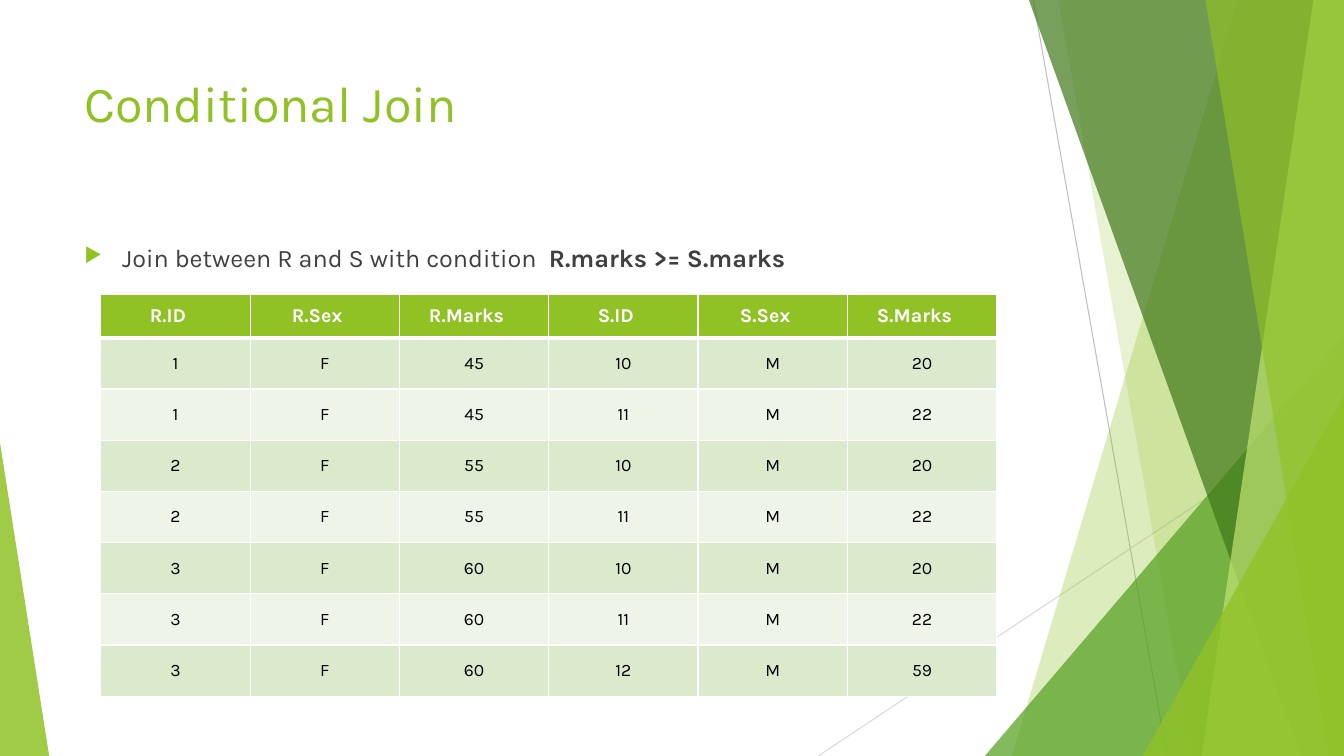
from dataclasses import dataclass

from lxml import etree
from pptx import Presentation
from pptx import util as u
from pptx.dml.color import RGBColor
from pptx.enum import shapes, text
from pptx.oxml import ns


@dataclass(frozen=True)
class Theme:
    font: str = "Karla"
    lime: str = "90C226"
    pale_lime: str = "C0E474"
    green: str = "54A021"
    dark_green: str = "3F7819"
    line_dark: str = "BFBFBF"
    line_light: str = "D9D9D9"
    white: str = "FFFFFF"
    black: str = "000000"
    body: str = "404040"
    bands: tuple = ("DBE9CD", "EEF4E8")
    title_size: float = 36
    body_size: float = 18
    header_size: float = 14
    cell_size: float = 12.5


WIDTH, HEIGHT = 33.87, 19.05


def add_xml(parent, tag, **attrs):
    return etree.SubElement(parent, ns.qn(tag), {k: str(v) for k, v in attrs.items()})


class SlideBuilder:
    def __init__(self, s, theme):
        self.s, self.t = s, theme

    def paint(self, sp, color, opacity):
        sp.shadow.inherit = False
        sp.fill.solid()
        sp.fill.fore_color.rgb = RGBColor.from_string(color)
        clr = sp._element.spPr.find(".//" + ns.qn("a:srgbClr"))
        add_xml(clr, "a:alpha", val=opacity * 1000)
        sp.line.fill.background()

    def line(self, x1, y1, x2, y2, color):
        cx = self.s.shapes.add_connector(
            shapes.MSO_CONNECTOR.STRAIGHT, *map(u.Cm, (x1, y1, x2, y2)))
        cx.line.color.rgb = RGBColor.from_string(color)
        cx.line.width = u.Pt(0.75)
        add_xml(cx._element.spPr, "a:effectLst")

    def blade(self, top_x, bottom_x, color, opacity):
        """Full-height facet between a slanted edge and the right slide edge."""
        corners = [(WIDTH, 0), (WIDTH, HEIGHT), (bottom_x, HEIGHT)]
        fb = self.s.shapes.build_freeform(u.Cm(top_x), 0)
        fb.add_line_segments([(u.Cm(x), u.Cm(y)) for x, y in corners], close=True)
        self.paint(fb.convert_to_shape(), color, opacity)

    def triangle(self, x, y, w, apex, color, opacity):
        """Triangle standing on the bottom edge of the slide."""
        sp = self.s.shapes.add_shape(
            shapes.MSO_SHAPE.ISOSCELES_TRIANGLE, *map(u.Cm, (x, y, w, HEIGHT - y)))
        sp.adjustments[0] = apex
        self.paint(sp, color, opacity)

    def style_run(self, r, size, color, bold=False):
        r.font.name, r.font.size, r.font.bold = self.t.font, u.Pt(size), bold
        r.font.color.rgb = RGBColor.from_string(color)

    def text(self, x, y, w, h, parts, size, color):
        """One paragraph made of (words, bold) parts."""
        tf = self.s.shapes.add_textbox(*map(u.Cm, (x, y, w, h))).text_frame
        tf.word_wrap = True
        p = tf.paragraphs[0]
        for words, bold in parts:
            r = p.add_run()
            r.text = words
            self.style_run(r, size, color, bold)
        return p

    def bullet(self, p):
        p.space_before = u.Pt(10)
        pPr = p._p.get_or_add_pPr()
        pPr.set("marL", str(u.Cm(0.95)))
        pPr.set("indent", str(-u.Cm(0.95)))
        add_xml(add_xml(pPr, "a:buClr"), "a:srgbClr", val=self.t.lime)
        add_xml(pPr, "a:buSzPct", val=80000)
        add_xml(pPr, "a:buChar", char="▶")

    def cell(self, cell, words, row):
        t, header = self.t, row == 0
        # Borders: a heavier rule separates the header from the data
        tcPr = cell._tc.get_or_add_tcPr()
        widths = {"L": 1, "R": 1, "T": 3 if row == 1 else 1, "B": 3 if header else 1}
        for side, width in widths.items():
            ln = add_xml(tcPr, f"a:ln{side}", w=u.Pt(width))
            add_xml(add_xml(ln, "a:solidFill"), "a:srgbClr", val=t.white)
        cell.fill.solid()
        fill = t.lime if header else t.bands[(row - 1) % 2]
        cell.fill.fore_color.rgb = RGBColor.from_string(fill)
        # Header labels sit slightly left of centre
        cell.margin_left = u.Cm(0.25)
        cell.margin_right = u.Cm(0.63 if header else 0.25)
        cell.margin_top = cell.margin_bottom = u.Cm(0.25 if header else 0.38)
        cell.vertical_anchor = text.MSO_ANCHOR.MIDDLE
        p = cell.text_frame.paragraphs[0]
        p.text = words
        p.alignment = text.PP_ALIGN.CENTER
        self.style_run(p.runs[0], t.header_size if header else t.cell_size,
                       t.white if header else t.black, header)

    def table(self, x, y, w, h, row_height, rows):
        gf = self.s.shapes.add_table(
            len(rows), len(rows[0]), *map(u.Cm, (x, y, w, h)))
        tbl = gf.table
        tbl.horz_banding = False
        for i, values in enumerate(rows):
            tbl.rows[i].height = u.Cm(row_height)
            for j, words in enumerate(values):
                self.cell(tbl.cell(i, j), words, i)
        gf.height = u.Cm(h)


def main():
    prs = Presentation()
    prs.slide_width, prs.slide_height = u.Cm(WIDTH), u.Cm(HEIGHT)
    t = Theme()
    b = SlideBuilder(prs.slides.add_slide(prs.slide_layouts[6]), t)

    # Faceted background
    b.line(26.04, 0, 29.41, HEIGHT, t.line_dark)
    b.line(WIDTH, 10.24, 20.62, HEIGHT, t.line_light)
    b.blade(31.19, 25.5, t.lime, 30)
    b.blade(26.67, 30.05, t.lime, 20)
    b.triangle(24.82, 8.46, 9.05, 1, t.green, 72)
    b.blade(25.93, 32.79, t.dark_green, 70)
    b.blade(33.1, 30.28, t.pale_lime, 70)
    b.blade(30.38, 33.48, t.lime, 65)
    b.triangle(28.8, 9.98, 5.07, 1, t.lime, 80)
    b.triangle(0, 11.15, 1.24, 0, t.lime, 85)

    # Title and statement
    b.text(1.88, 1.7, 23.88, 3.66, [("Conditional Join", False)], t.title_size, t.lime)
    p = b.text(1.88, 5.99, 23.88, 10.77,
               [("Join between R and S with condition  ", False),
                ("R.marks >= S.marks", True)], t.body_size, t.body)
    b.bullet(p)

    # Join result
    b.table(2.54, 7.42, 22.58, 10.01, 1.04, [
        ("R.ID", "R.Sex", "R.Marks", "S.ID", "S.Sex", "S.Marks"),
        ("1", "F", "45", "10", "M", "20"),
        ("1", "F", "45", "11", "M", "22"),
        ("2", "F", "55", "10", "M", "20"),
        ("2", "F", "55", "11", "M", "22"),
        ("3", "F", "60", "10", "M", "20"),
        ("3", "F", "60", "11", "M", "22"),
        ("3", "F", "60", "12", "M", "59"),
    ])

    prs.save("out.pptx")


if __name__ == "__main__":
    main()
